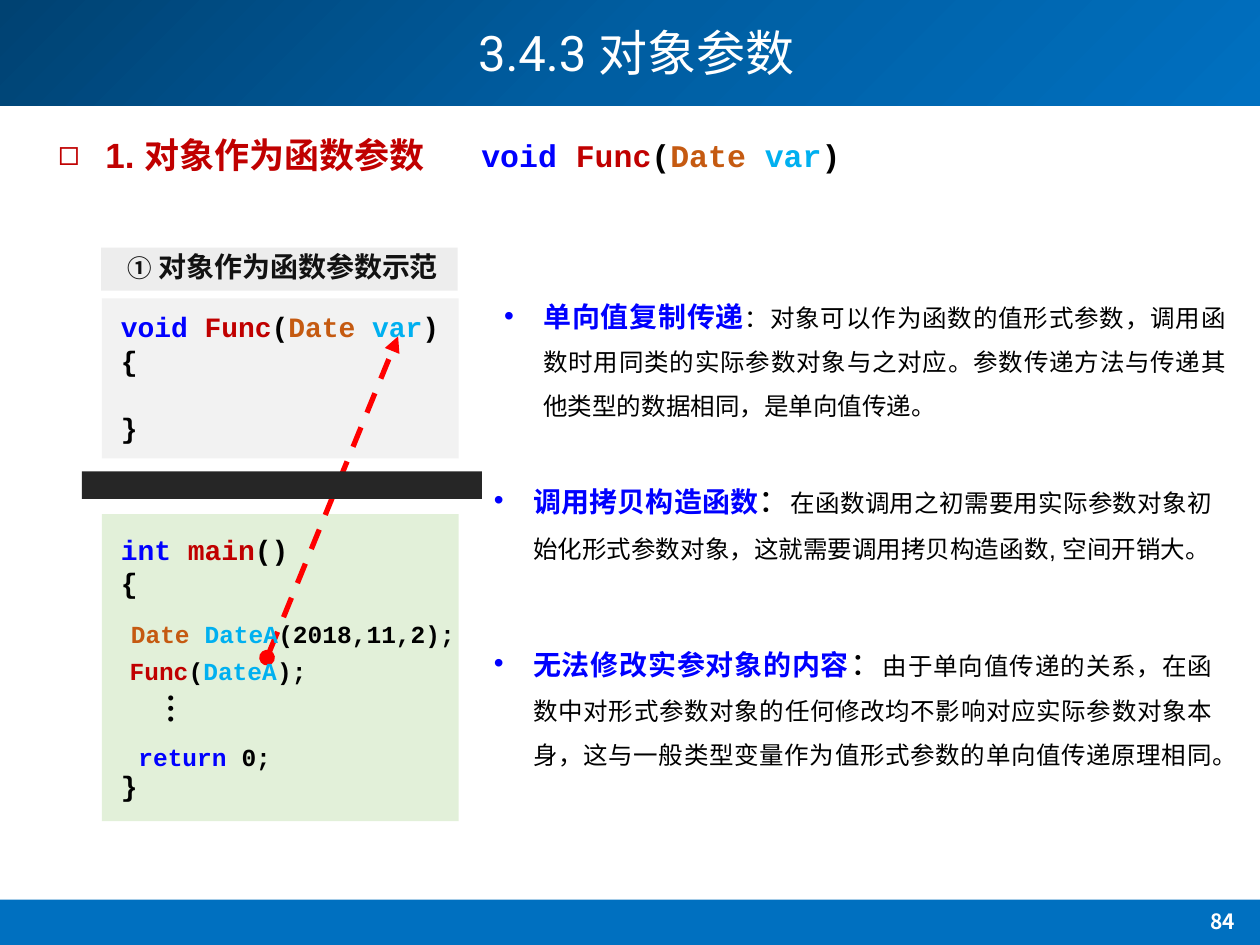
import copy

import pptx
import pptx.dml.color
import pptx.enum.dml
import pptx.enum.lang
import pptx.enum.shapes
import pptx.enum.text
import pptx.oxml.ns
import pptx.util
from lxml import etree

Pt = pptx.util.Pt
qn = pptx.oxml.ns.qn
ALIGN = pptx.enum.text.PP_ALIGN
ANCHOR = pptx.enum.text.MSO_ANCHOR

COLORS = {
    "navy": "004272", "ocean": "005EA2", "blue": "0070C0",
    "white": "FFFFFF", "black": "000000", "bar": "262626",
    "function_panel": "F2F2F2", "main_panel": "E2F0D9", "label": "808080",
    "keyword": "0000FF", "name": "C00000", "type": "C55A11",
    "variable": "00B0F0", "arrow": "FF0000",
}
CJK = "Noto Sans CJK SC"
CODE = "Courier New"

SIGNATURE = [("void ", "keyword"), ("Func", "name"), ("(", "black"),
             ("Date ", "type"), ("var", "variable"), (")", "black")]


def rgb(key):
    return pptx.dml.color.RGBColor.from_string(COLORS[key])


def add_run(paragraph, text, color, size, font, bold=False):
    run = paragraph.add_run()
    run.text = text
    run.font.name = font
    run.font.size = Pt(size)
    run.font.bold = bold
    run.font.color.rgb = rgb(color)
    if not text.isascii():
        run.font.language_id = pptx.enum.lang.MSO_LANGUAGE_ID.SIMPLIFIED_CHINESE
        run.font._element.find(qn("a:latin")).addnext(
            etree.Element(qn("a:ea"), typeface=CJK))


def place(shape, box):
    shape.left, shape.top, shape.width, shape.height = map(Pt, box)


def prepare_frame(shape, wrap=True, anchor=ANCHOR.TOP):
    frame = shape.text_frame
    frame.auto_size = pptx.enum.text.MSO_AUTO_SIZE.NONE
    frame.word_wrap = wrap
    frame.vertical_anchor = anchor
    return frame


def add_text(slide, box, runs, align=ALIGN.LEFT, wrap=True):
    """Text box with one paragraph; runs are (text, color, size, font, bold)."""
    label = slide.shapes.add_textbox(*map(Pt, box))
    paragraph = prepare_frame(label, wrap).paragraphs[0]
    paragraph.alignment = align
    for run in runs:
        add_run(paragraph, *run)
    return label


def add_code(slide, box, lines, size, wrap=True):
    """Code block; lines are (space before, [(text, color), ...])."""
    frame = prepare_frame(slide.shapes.add_textbox(*map(Pt, box)), wrap)
    for index, (space, tokens) in enumerate(lines):
        paragraph = frame.add_paragraph() if index else frame.paragraphs[0]
        if space:
            paragraph.space_before = Pt(space)
        for text, color in tokens:
            add_run(paragraph, text, color, size, CODE, True)


def fill_bullet(placeholder, box, bullet, indent, runs, align, spacing):
    place(placeholder, box)
    paragraph = prepare_frame(placeholder).paragraphs[0]
    paragraph.alignment = align
    paragraph.line_spacing = spacing
    paragraph.space_before = Pt(0)
    properties = paragraph._p.get_or_add_pPr()
    properties.set("marL", str(Pt(indent)))
    properties.set("indent", str(-Pt(indent)))
    etree.SubElement(properties, qn("a:buFont"), typeface="Arial")
    etree.SubElement(properties, qn("a:buChar"), char=bullet)
    for run in runs:
        add_run(paragraph, *run)


def add_panel(slide, box, color, opacity=None):
    panel = slide.shapes.add_shape(
        pptx.enum.shapes.MSO_SHAPE.RECTANGLE, *map(Pt, box))
    panel.shadow.inherit = False
    panel.line.fill.background()
    panel.fill.solid()
    panel.fill.fore_color.rgb = rgb(color)
    if opacity:
        tint = panel._element.spPr.find(".//" + qn("a:srgbClr"))
        etree.SubElement(tint, qn("a:alpha"), val=str(opacity * 1000))
    return panel


def add_bands(slide):
    header = add_panel(slide, (0, 0, 720, 60.5), "blue")
    header.fill.gradient()
    header.fill.gradient_angle = 315
    stops = header._element.spPr.find(".//" + qn("a:gsLst"))
    stops.insert(1, copy.deepcopy(stops[0]))
    for stop, color, position in zip(header.fill.gradient_stops,
                                     ("navy", "ocean", "blue"), (0, 0.5, 1)):
        stop.color.rgb = rgb(color)
        stop.position = position
    footer = add_panel(slide, (0, 514, 720, 26), "blue")
    # Bands lie behind the placeholders
    for band in (footer, header):
        slide.shapes._spTree.insert(2, band._element)


def add_call_arrow(slide, start, end):
    arrow = slide.shapes.add_connector(
        pptx.enum.shapes.MSO_CONNECTOR.STRAIGHT, *map(Pt, start + end))
    arrow.line.color.rgb = rgb("arrow")
    arrow.line.width = Pt(3)
    arrow.line.dash_style = pptx.enum.dml.MSO_LINE.DASH
    line = arrow.line._get_or_add_ln()
    etree.SubElement(line, qn("a:headEnd"), type="oval")
    etree.SubElement(line, qn("a:tailEnd"), type="triangle")
    etree.SubElement(arrow._element.spPr, qn("a:effectLst"))


def main():
    prs = pptx.Presentation()
    prs.slide_width, prs.slide_height = Pt(720), Pt(540)
    # The comparison layout has a title and four text bodies
    slide = prs.slides.add_slide(prs.slide_layouts[4])
    title, heading, *points = slide.placeholders
    add_bands(slide)

    # Title and page number
    place(title, (61, 0, 605, 64))
    title_line = prepare_frame(title, anchor=ANCHOR.MIDDLE).paragraphs[0]
    title_line.alignment = ALIGN.CENTER
    title_line.line_spacing = 0.9
    add_run(title_line, "3.4.3 ", "white", 28, "Roboto")
    add_run(title_line, "对象参数", "white", 28, CJK)
    add_text(slide, (664.5, 515.5, 68.5, 26),
             [("84", "white", 12, CJK, True)], ALIGN.CENTER)

    # Heading with the signature
    fill_bullet(heading, (26, 72.7, 563, 31.7), "◻", 27,
                [("1. 对象作为函数参数", "name", 20, "Arial", True)], ALIGN.LEFT, 1)
    add_code(slide, (268, 74, 221, 29), [(0, SIGNATURE)], 18, wrap=False)

    # Code panels
    add_panel(slide, (58.3, 170.6, 203.8, 91.4), "function_panel")
    add_panel(slide, (58.3, 293.8, 203.8, 175.5), "main_panel")
    add_code(slide, (62, 173.5, 200, 85),
             [(0, SIGNATURE), (0, [("{", "black")]), (19, [("}", "black")])], 16)
    add_code(slide, (62, 300.5, 197, 163),
             [(0, [("int ", "keyword"), ("main", "name"), ("()", "black")]),
              (0, [("{", "black")]), (97, [("}", "black")])], 16)
    dots = add_text(slide, (80, 390, 44, 38),
                    [("…", "black", 24, "Calibri")], ALIGN.CENTER)
    dots.text_frame._txBody.bodyPr.set("vert", "eaVert")

    # Call arrow and the statements of main
    add_call_arrow(slide, (152.6, 375.8), (227.5, 192.2))
    statements = [
        ((67.7, 350, 201, 24.5), [("Date ", "type"), ("DateA", "variable"),
                                  ("(2018,11,2);", "black")]),
        ((67, 371.5, 116, 24.5), [("Func", "name"), ("(", "black"),
                                  ("DateA", "variable"), (");", "black")]),
        ((72, 420.5, 91, 24.5), [("return", "keyword"), (" 0;", "black")]),
    ]
    for box, tokens in statements:
        add_code(slide, box, [(0, tokens)], 14, wrap=False)

    # Example label and dividing bar
    add_text(slide, (57, 139, 209.5, 26.6),
             [("①", "black", 14, "Arial", True),
              (" 对象作为函数参数示范", "black", 16, "Arial", True)], ALIGN.CENTER)
    add_panel(slide, (57.8, 141.6, 203.8, 24.6), "label", opacity=14)
    add_panel(slide, (46.8, 269.3, 228.6, 15.8), "bar")

    # Explanations
    explanations = [
        ((280.8, 157.7, 427, 87), "单向值复制传递", 14,
         "对象可以作为函数的值形式参数，调用函数时用同类的实际参数对象与之对应。"
         "参数传递方法与传递其他类型的数据相同，是单向值传递。"),
        ((275, 260.6, 425, 63), "调用拷贝构造函数", 18,
         "在函数调用之初需要用实际参数对象初始化形式参数对象，"
         "这就需要调用拷贝构造函数, 空间开销大。"),
        ((275, 353.5, 425, 91), "无法修改实参对象的内容", 18,
         "由于单向值传递的关系，在函数中对形式参数对象的任何修改均不影响对应实际参数对象本身，"
         "这与一般类型变量作为值形式参数的单向值传递原理相同。"),
    ]
    for point, (box, term, colon_size, detail) in zip(points, explanations):
        fill_bullet(point, box, "•", 22.5,
                    [(term, "keyword", 16, "Arial", True),
                     ("：", "black", colon_size, "Arial"),
                     (detail, "black", 14, "Arial")], ALIGN.JUSTIFY, 1.5)

    prs.save("out.pptx")


if __name__ == "__main__":
    main()
